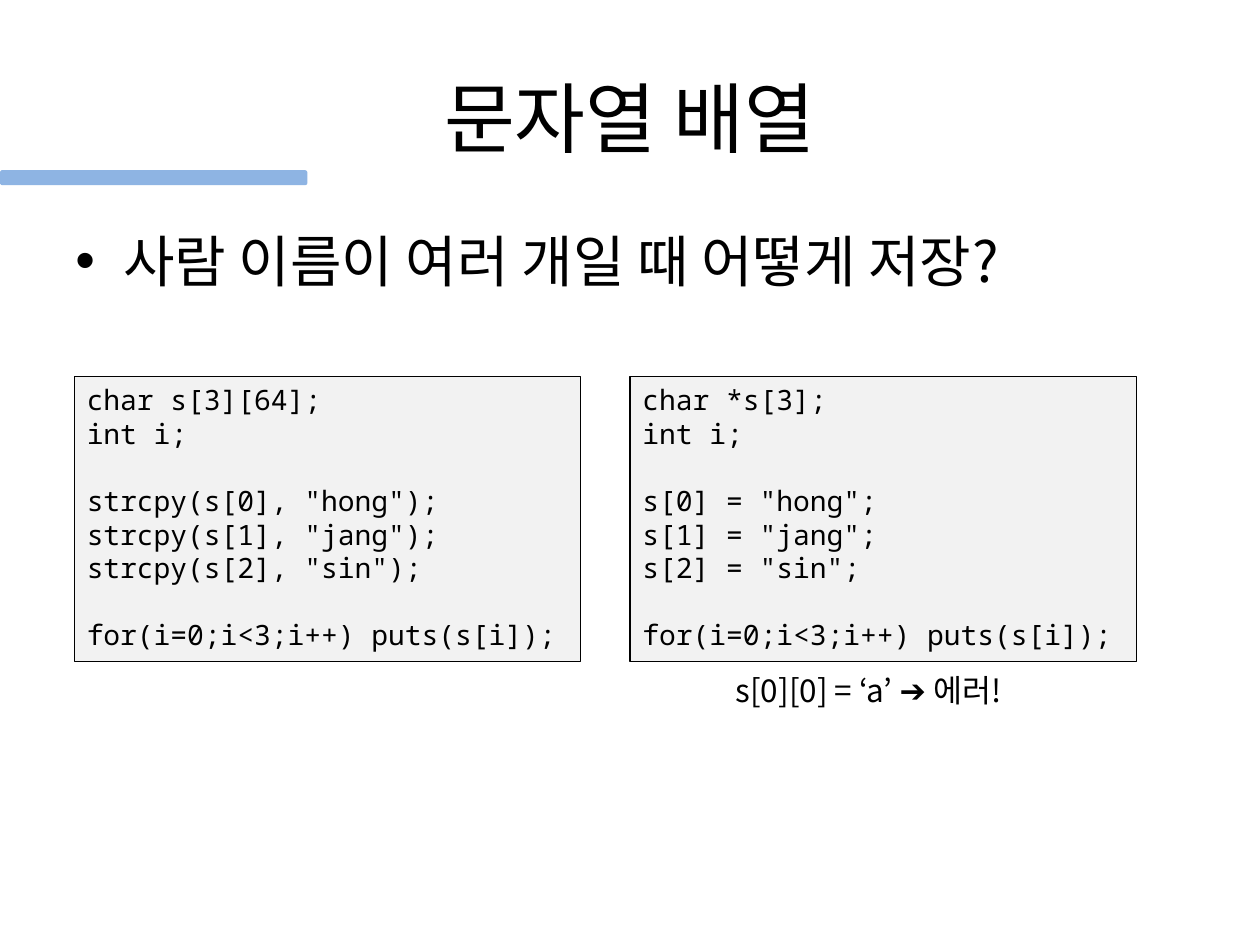
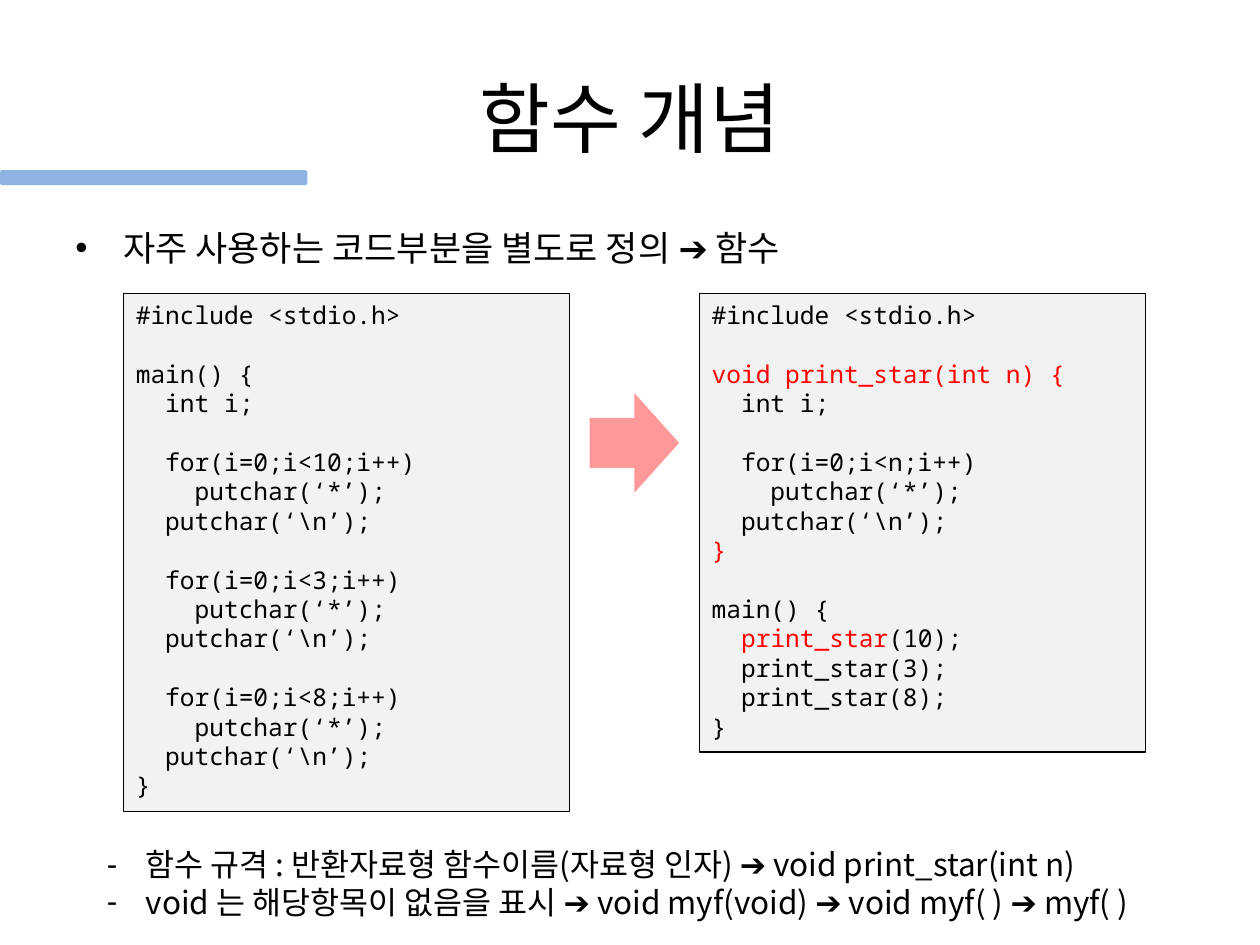
from pptx import Presentation
from pptx.dml.color import RGBColor
from pptx.enum.shapes import MSO_SHAPE
from pptx.enum.text import MSO_ANCHOR, PP_ALIGN
from pptx.oxml.ns import qn
from pptx.util import Pt
from lxml.etree import SubElement

PX = 9144
SANS, MONO = "Noto Sans CJK KR", "Noto Sans Mono"
BLACK, RED, BLUE, PINK, GRAY = "000000", "FF0000", "8EB4E3", "FF9999", "F2F2F2"
LINE_HEIGHT = 1.2

NAMES_2D = '''char s[3][64];
int i;

strcpy(s[0], "hong");
strcpy(s[1], "jang");
strcpy(s[2], "sin");

for(i=0;i<3;i++) puts(s[i]);'''

NAMES_POINTER = '''char *s[3];
int i;

s[0] = "hong";
s[1] = "jang";
s[2] = "sin";

for(i=0;i<3;i++) puts(s[i]);'''

STARS_REPEATED = r'''#include <stdio.h>

main() {
  int i;

  for(i=0;i<10;i++)
    putchar(‘*’);
  putchar(‘\n’);

  for(i=0;i<3;i++)
    putchar(‘*’);
  putchar(‘\n’);

  for(i=0;i<8;i++)
    putchar(‘*’);
  putchar(‘\n’);
}'''

STARS_FUNCTION = r'''#include <stdio.h>

~void print_star(int n) {~
  int i;

  for(i=0;i<n;i++)
    putchar(‘*’);
  putchar(‘\n’);
~}~

main() {
  ~print_star~(10);
  print_star(3);
  print_star(8);
}'''


def color(value):
    return RGBColor.from_string(value)


def emu(box):
    return [n * PX for n in box]


def add_text(p, text, size=18, font=SANS, fill=BLACK):
    r = p.add_run()
    r.text = text
    r.font.size = Pt(size)
    r.font.color.rgb = color(fill)
    r.font.name = font
    SubElement(r.font._element, qn("a:ea"), typeface=font)


def add_bullet(p, char, indent):
    pPr = p._p.get_or_add_pPr()
    pPr.set("marL", str(indent * PX))
    pPr.set("indent", str(-indent * PX))
    SubElement(pPr, qn("a:buFont"), typeface="Arial")
    SubElement(pPr, qn("a:buChar"), char=char)


def add_shape(s, kind, box, fill, line=None):
    sp = s.shapes.add_shape(kind, *emu(box))
    sp.shadow.inherit = False
    sp.fill.solid()
    sp.fill.fore_color.rgb = color(fill)
    if line:
        sp.line.color.rgb = color(line)
        sp.line.width = Pt(0.75)
    else:
        sp.line.fill.background()
    return sp


def add_box(s, box, lines, size=18, bullet=None, indent=0,
            align=PP_ALIGN.LEFT, anchor=MSO_ANCHOR.TOP):
    tf = s.shapes.add_textbox(*emu(box)).text_frame
    tf.word_wrap = True
    tf.vertical_anchor = anchor
    for i, line in enumerate(lines):
        p = tf.add_paragraph() if i else tf.paragraphs[0]
        p.alignment = align
        if bullet:
            add_bullet(p, bullet, indent)
        add_text(p, line, size=size)


def add_code(s, box, code, size):
    tf = add_shape(s, MSO_SHAPE.RECTANGLE, box, GRAY, line=BLACK).text_frame
    tf.word_wrap = True
    tf.vertical_anchor = MSO_ANCHOR.TOP
    p = tf.paragraphs[0]
    for b, block in enumerate(code.split("\n\n")):
        for i, line in enumerate(block.split("\n")):
            if b or i:
                p = tf.add_paragraph()
            p.alignment = PP_ALIGN.LEFT
            if b and not i:
                p.space_before = Pt(size * LINE_HEIGHT)
            for n, part in enumerate(line.split("~")):
                if part:
                    add_text(p, part, size=size, font=MONO, fill=RED if n % 2 else BLACK)


def add_slide(prs, title, point, size):
    s = prs.slides.add_slide(prs.slide_layouts[6])
    add_box(s, (50, 30, 900, 125), [title], size=44,
            align=PP_ALIGN.CENTER, anchor=MSO_ANCHOR.MIDDLE)
    add_box(s, (50, 175, 900, 495), [point], size=size, bullet="•", indent=38)
    add_shape(s, MSO_SHAPE.ROUNDED_RECTANGLE, (0, 135, 244, 12), BLUE)
    return s


def string_array_slide(prs):
    s = add_slide(prs, "문자열 배열", "사람 이름이 여러 개일 때 어떻게 저장?", 32)
    left, top, width, height, gap = 59, 299, 402, 226, 39
    for i, code in enumerate((NAMES_2D, NAMES_POINTER)):
        add_code(s, (left + i * (width + gap), top, width, height), code, 16)
    add_box(s, (574, top + height + 3, 253, 40), ["s[0][0] = ‘a’ ➔ 에러!"])


def function_slide(prs):
    s = add_slide(prs, "함수 개념", "자주 사용하는 코드부분을 별도로 정의 ➔ 함수", 20)
    left, top, width, gap = 98, 233, 354, 103
    for i, (code, height) in enumerate(((STARS_REPEATED, 411), (STARS_FUNCTION, 364))):
        add_code(s, (left + i * (width + gap), top, width, height), code, 14)
    arrow = 71
    add_shape(s, MSO_SHAPE.RIGHT_ARROW,
              (left + width + (gap - arrow) // 2, top + 79, arrow, 79), PINK)
    add_box(s, (75, 666, 897, 71), [
        "함수 규격 : 반환자료형 함수이름(자료형 인자) ➔ void print_star(int n)",
        "void 는 해당항목이 없음을 표시 ➔ void myf(void) ➔ void myf( ) ➔ myf( )",
    ], bullet="-", indent=31)


def main():
    prs = Presentation()
    prs.slide_width, prs.slide_height = emu((1000, 750))
    string_array_slide(prs)
    function_slide(prs)
    prs.save("out.pptx")


if __name__ == "__main__":
    main()
